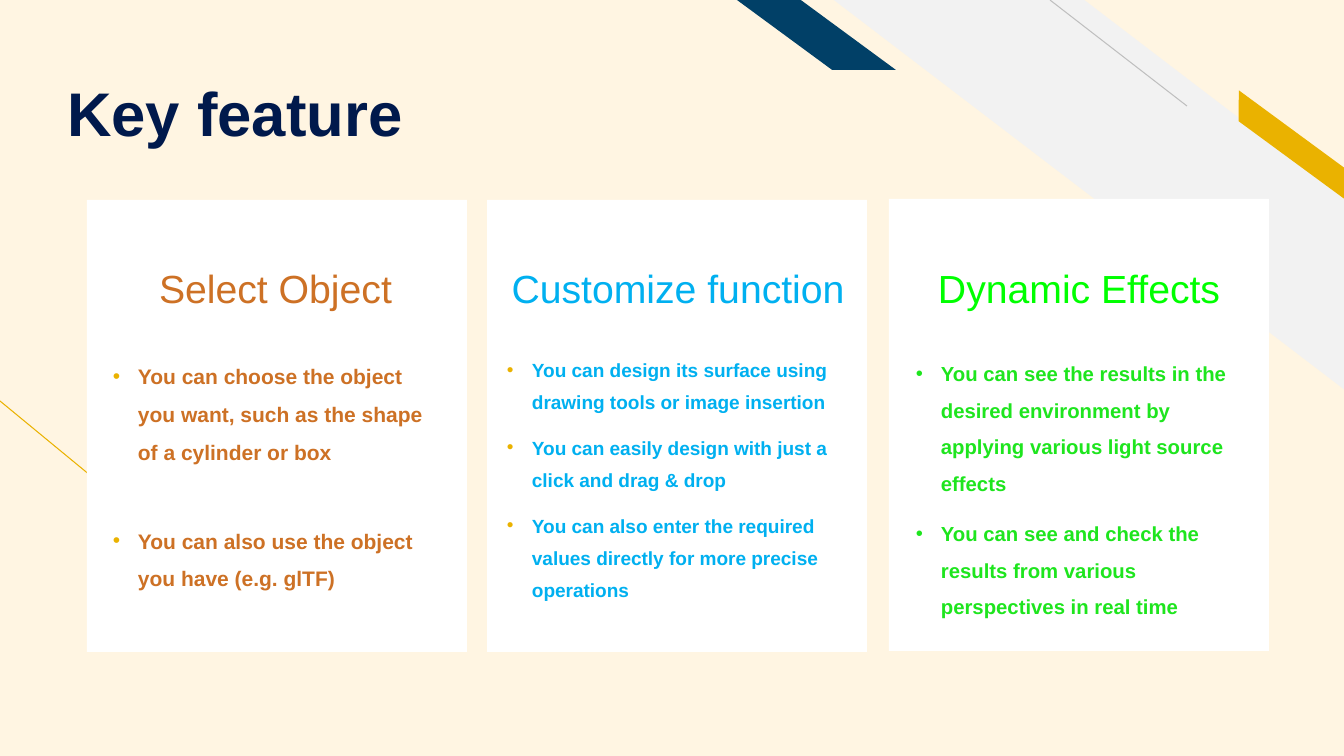
"""Build the "Key feature" slide with three feature cards."""
from lxml.etree import SubElement
from pptx import Presentation
from pptx.dml.color import RGBColor
from pptx.enum.shapes import MSO_CONNECTOR, MSO_SHAPE
from pptx.enum.text import MSO_ANCHOR, MSO_AUTO_SIZE, PP_ALIGN
from pptx.oxml.ns import qn
from pptx.util import Pt

PX = 914400 / 100.8
CREAM = RGBColor(0xFF, 0xF5, 0xE2)
WHITE = RGBColor(0xFF, 0xFF, 0xFF)
PALE_GRAY = RGBColor(0xF2, 0xF2, 0xF2)
LINE_GRAY = RGBColor(0xBF, 0xBF, 0xBF)
GOLD = RGBColor(0xEA, 0xB2, 0x00)
NAVY = RGBColor(0x01, 0x40, 0x67)
TITLE_NAVY = RGBColor(0x00, 0x19, 0x4C)
ORANGE = RGBColor(0xCD, 0x71, 0x25)
SKY = RGBColor(0x00, 0xB0, 0xF0)
LIME = RGBColor(0x00, 0xFF, 0x00)
GREEN = RGBColor(0x1E, 0xE5, 0x1E)


def emu(*lengths):
    return [round(length * PX) for length in lengths]


def style(para, size, color, bold):
    para.font.name = "Arial"
    para.font.size = Pt(size)
    para.font.bold = bold
    para.font.color.rgb = color


deck = Presentation()
deck.slide_width, deck.slide_height = emu(1344, 756)
page = deck.slides.add_slide(deck.slide_layouts[5])
page.background.fill.solid()
page.background.fill.fore_color.rgb = CREAM

title = page.shapes.title
title.left, title.top, title.width, title.height = emu(57, 23, 918, 127)
frame = title.text_frame
frame.text = "Key feature"
frame.auto_size = MSO_AUTO_SIZE.NONE
frame.vertical_anchor = MSO_ANCHOR.BOTTOM
frame.margin_bottom = 0
para = frame.paragraphs[0]
para.alignment = PP_ALIGN.LEFT
para.line_spacing = 0.9
style(para, 44, TITLE_NAVY, True)

STRIPES = [
    (MSO_SHAPE.DIAGONAL_STRIPE, (834, 0, 511, 390), 0.51, 0, PALE_GRAY),
    (MSO_SHAPE.PARALLELOGRAM, (1217, 132, 149, 25), 0.72, 36.3, GOLD),
    (MSO_SHAPE.PARALLELOGRAM, (737, 0, 159, 70), 1.36, 0, NAVY),
]
for preset, place, adjustment, rotation, color in STRIPES:
    stripe = page.shapes.add_shape(preset, *emu(*place))
    stripe.adjustments[0] = adjustment
    stripe.rotation = rotation
    stripe._element.spPr.find(qn("a:xfrm")).set("flipH", "1")
    stripe.fill.solid()
    stripe.fill.fore_color.rgb = color
    stripe.line.fill.background()
    stripe.shadow.inherit = False

for ends, color in [((210, 574, 0, 401), GOLD), ((1187, 106, 1050, 0), LINE_GRAY)]:
    line = page.shapes.add_connector(MSO_CONNECTOR.STRAIGHT, *emu(*ends))
    line.line.color.rgb = color
    line.line.width = Pt(0.75)
    SubElement(line._element.spPr, qn("a:effectLst"))

CARDS = [
    ((87, 200), (147, 257), "Select Object", ORANGE,
     (103, 346, 346, 266), 15, 1.5, 36.5, ORANGE, GOLD,
     ["You can choose the object you want, such as the shape of a cylinder or box",
      "You can also use the object you have (e.g. glTF)"]),
    ((487, 200), (488, 380), "Customize function", SKY,
     (497, 344, 368, 291), 13.6, 1.4, 10, SKY, GOLD,
     ["You can design its surface using drawing tools or image insertion",
      "You can easily design with just a click and drag & drop",
      "You can also enter the required values directly for more precise operations"]),
    ((889, 199), (906, 346), "Dynamic Effects", LIME,
     (906, 344, 352, 291), 14.5, 1.5, 10, GREEN, GREEN,
     ["You can see the results in the desired environment by applying various light source effects",
      "You can see and check the results from various perspectives in real time"]),
]
for (corner, (heading_left, heading_width), heading, heading_color,
     place, size, spacing, gap, color, bullet_color, points) in CARDS:
    card = page.shapes.add_shape(MSO_SHAPE.RECTANGLE, *emu(*corner, 380, 452))
    card.fill.solid()
    card.fill.fore_color.rgb = WHITE
    card.line.fill.background()
    card.shadow.inherit = False

    box = page.shapes.add_textbox(*emu(heading_left, 259, heading_width, 57))
    box.text_frame.word_wrap = True
    box.text_frame.text = heading
    para = box.text_frame.paragraphs[0]
    para.alignment = PP_ALIGN.CENTER
    style(para, 28, heading_color, False)

    box = page.shapes.add_textbox(*emu(*place))
    box.text_frame.word_wrap = True
    box.text_frame.text = "\n".join(points)
    for index, para in enumerate(box.text_frame.paragraphs):
        para.line_spacing = spacing
        para.space_before = Pt(gap if index else 0)
        style(para, size, color, True)
        properties = para._p.get_or_add_pPr()
        indent, = emu(25)
        properties.set("marL", str(indent))
        properties.set("indent", str(-indent))
        bullet = SubElement(properties, qn("a:buClr"))
        SubElement(bullet, qn("a:srgbClr"), val=str(bullet_color))
        SubElement(properties, qn("a:buFont"), typeface="Arial")
        SubElement(properties, qn("a:buChar"), char="•")
        properties.append(properties.find(qn("a:defRPr")))

deck.save("out.pptx")
